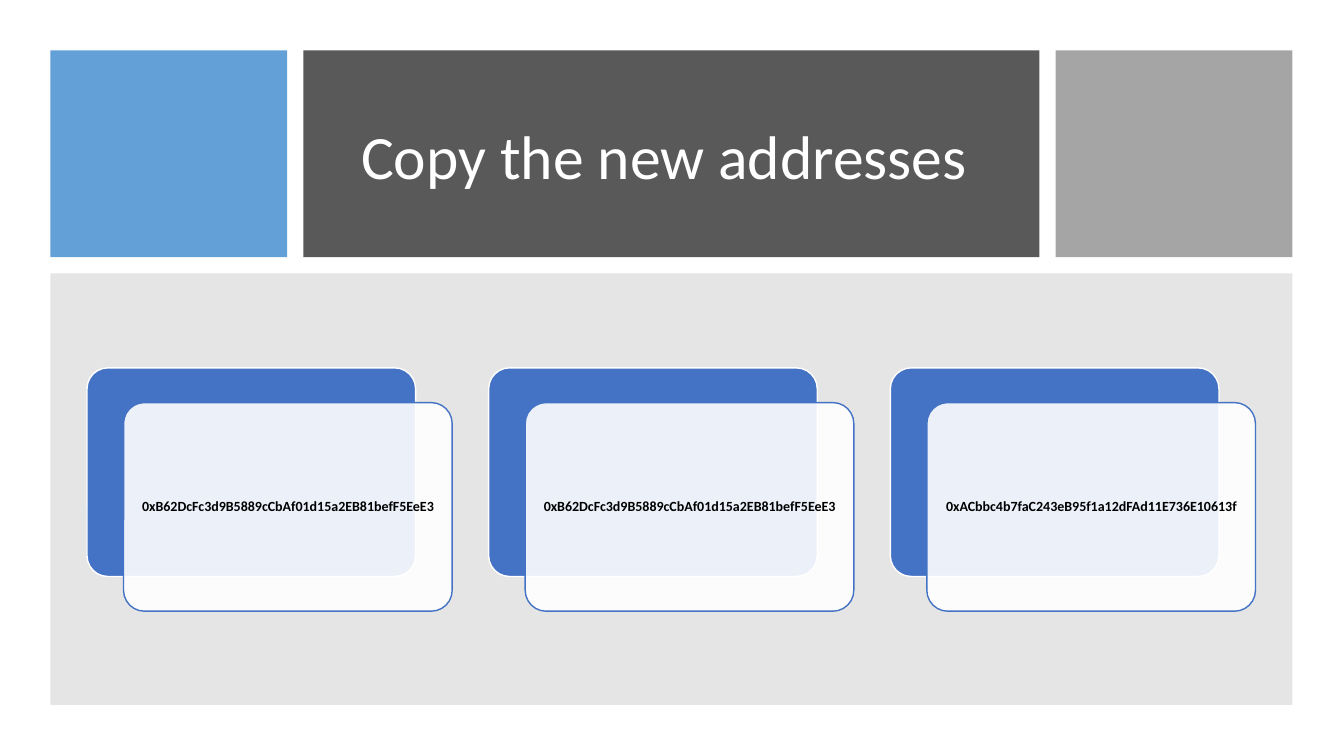
from dataclasses import dataclass

from lxml.etree import SubElement
from pptx import Presentation
from pptx.dml.color import RGBColor
from pptx.enum.shapes import MSO_SHAPE as Shape
from pptx.enum.text import MSO_ANCHOR as Anchor, PP_ALIGN as Align
from pptx.oxml.ns import qn
from pptx.util import Pt


@dataclass(frozen=True)
class Theme:
    font: str = "Calibri"
    title_size: float = 44
    address_size: float = 10
    white: str = "FFFFFF"
    black: str = "000000"
    sky: str = "5B9BD5"
    charcoal: str = "595959"
    silver: str = "A5A5A5"
    gray: str = "808080"
    blue: str = "4472C4"


class SlideBuilder:
    def __init__(self, slide, theme):
        self.slide = slide
        self.theme = theme

    def block(self, box, fill, opacity=100, line=None, kind=Shape.RECTANGLE):
        shape = self.slide.shapes.add_shape(kind, *map(Pt, box))
        shape.shadow.inherit = False
        shape.fill.solid()
        shape.fill.fore_color.rgb = RGBColor.from_string(fill)
        if opacity < 100:
            color = shape.fill._xPr.find(qn("a:solidFill"))[0]
            SubElement(color, qn("a:alpha"), val=str(opacity * 1000))
        if line:
            shape.line.color.rgb = RGBColor.from_string(line)
            shape.line.width = Pt(1)
        else:
            shape.line.fill.background()
        return shape

    def rounded(self, box, fill, line, opacity=100):
        shape = self.block(box, fill, opacity, line, Shape.ROUNDED_RECTANGLE)
        shape.adjustments[0] = 0.1

    def text(self, box, words, size, color, insets, bold=False):
        shape = self.slide.shapes.add_textbox(*map(Pt, box))
        frame = shape.text_frame
        frame.word_wrap = True
        frame.vertical_anchor = Anchor.MIDDLE
        (frame.margin_left, frame.margin_top,
         frame.margin_right, frame.margin_bottom) = map(Pt, insets)
        paragraph = frame.paragraphs[0]
        paragraph.text = words
        paragraph.alignment = Align.CENTER
        paragraph.line_spacing = 0.9
        font = paragraph.font
        font.name, font.size, font.bold = self.theme.font, Pt(size), bold
        font.color.rgb = RGBColor.from_string(color)

    def address_card(self, left, top, address):
        theme = self.theme
        width, height = 234.7, 149
        offset_x, offset_y, padding = 26.1, 24.8, 4.4
        front_left, front_top = left + offset_x, top + offset_y
        self.rounded((left, top, width, height), theme.blue, theme.white)
        self.rounded((front_left, front_top, width, height),
                     theme.white, theme.blue, opacity=90)
        self.text((front_left + padding, front_top + padding,
                   width - 2 * padding, height - 2 * padding),
                  address, theme.address_size, theme.black, (3,) * 4, bold=True)


ADDRESSES = [
    "0xB62DcFc3d9B5889cCbAf01d15a2EB81befF5EeE3",
    "0xB62DcFc3d9B5889cCbAf01d15a2EB81befF5EeE3",
    "0xACbbc4b7faC243eB95f1a12dFAd11E736E10613f",
]


def main():
    presentation = Presentation()
    presentation.slide_width, presentation.slide_height = Pt(960), Pt(540)
    slide = presentation.slides.add_slide(presentation.slide_layouts[6])
    theme = Theme()
    builder = SlideBuilder(slide, theme)

    # Header band: three blocks with equal gaps
    margin, gap, header_height = 36, 11.6, 147.6
    left = margin
    for width, fill, opacity in [(169.2, theme.sky, 95),
                                 (525.6, theme.charcoal, 100),
                                 (169.2, theme.silver, 100)]:
        builder.block((left, margin, width, header_height), fill, opacity)
        left += width + gap

    # Title
    builder.text((239.8, 57.6, 479.5, 112.3), "Copy the new addresses",
                 theme.title_size, theme.white, (7.2, 3.6, 17.2, 3.6))

    # Body panel
    builder.block((margin, 195.3, 887.2, 308.3), theme.gray, opacity=20)

    # Address cards
    for index, address in enumerate(ADDRESSES):
        builder.address_card(62.2 + index * 286.9, 262.8, address)

    presentation.save("out.pptx")


if __name__ == "__main__":
    main()
